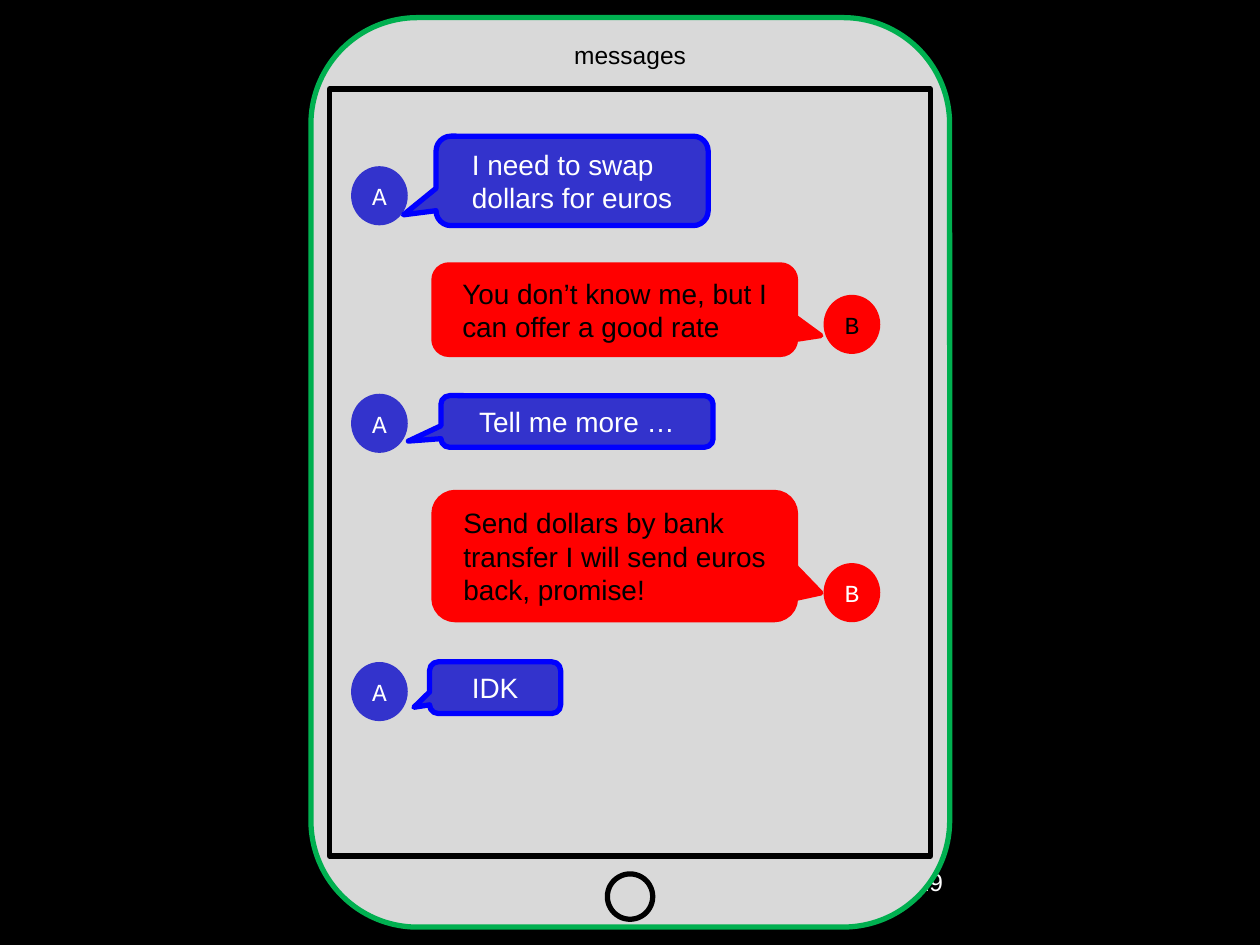
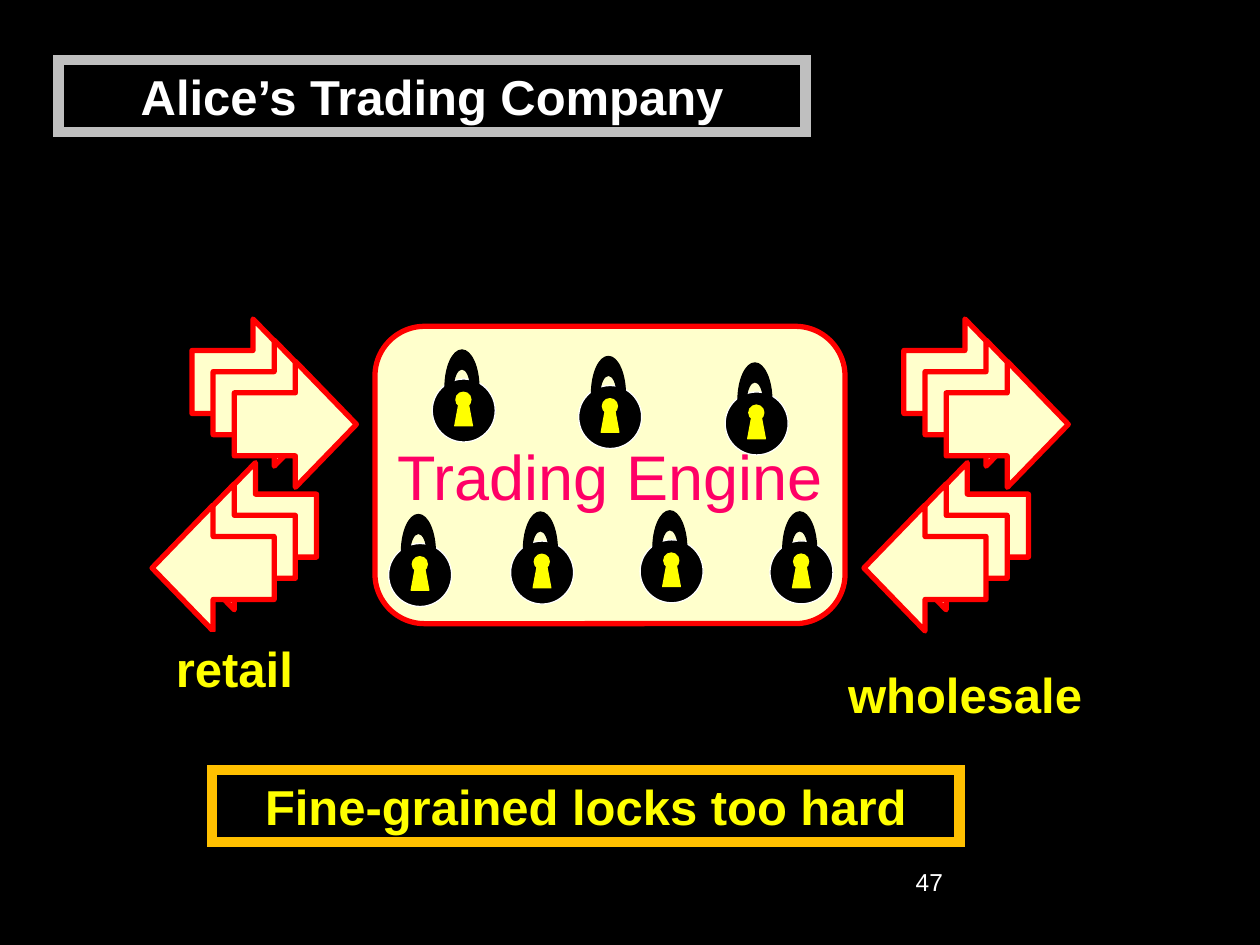
from dataclasses import dataclass

from lxml.etree import SubElement
from pptx import Presentation
from pptx.dml.color import RGBColor
from pptx.enum.shapes import MSO_SHAPE as Preset
from pptx.enum.text import MSO_ANCHOR as Anchor, MSO_AUTO_SIZE as AutoSize, PP_ALIGN as Align
from pptx.oxml.ns import qn
from pptx.util import Pt

BLACK = RGBColor(0x00, 0x00, 0x00)
WHITE = RGBColor(0xFF, 0xFF, 0xFF)
YELLOW = RGBColor(0xFF, 0xFF, 0x00)
RED = RGBColor(0xFF, 0x00, 0x00)
BLUE = RGBColor(0x00, 0x00, 0xFF)
INDIGO = RGBColor(0x33, 0x33, 0xCC)
GREEN = RGBColor(0x00, 0xB0, 0x50)
PALE_GREY = RGBColor(0xD9, 0xD9, 0xD9)
SILVER = RGBColor(0xBF, 0xBF, 0xBF)
GOLD = RGBColor(0xFF, 0xC0, 0x00)
CREAM = RGBColor(0xFF, 0xFF, 0xCC)
PINK = RGBColor(0xFF, 0x00, 0x66)

TITLE_ONLY = 5
ARC = 0.55  # control point distance for a quarter ellipse


@dataclass(frozen=True)
class Box:
    left: float
    top: float
    width: float
    height: float

    def lengths(self) -> tuple:
        return Pt(self.left), Pt(self.top), Pt(self.width), Pt(self.height)


@dataclass(frozen=True)
class TextStyle:
    size: float
    color: RGBColor
    font: str = "Arial"
    bold: bool = False
    align: Align = Align.CENTER
    anchor: Anchor = Anchor.MIDDLE
    wrap: bool = True


@dataclass(frozen=True)
class Sender:
    name: str
    fill: RGBColor
    line: RGBColor
    text_color: RGBColor
    badge_left: float
    tail: tuple


@dataclass(frozen=True)
class Message:
    sender: Sender
    badge_top: float
    bubble: Box
    text: str
    badge_color: RGBColor = WHITE


ALICE = Sender("A", INDIGO, BLUE, WHITE, 200.6, (-0.62, 0.38))
BOB = Sender("B", RED, RED, BLACK, 470.6, (0.57, 0.29))

MESSAGES = [
    Message(ALICE, 95, Box(249.2, 77.8, 155.5, 51.1), "I need to swap dollars for euros"),
    Message(BOB, 168.5, Box(248, 151.4, 206.6, 51.1),
            "You don’t know me, but I can offer a good rate", BLACK),
    Message(ALICE, 225, Box(252, 226.1, 155.5, 29.5), "Tell me more …"),
    Message(BOB, 321.8, Box(248, 281.4, 206.6, 72.7),
            "Send dollars by bank transfer I will send euros back, promise!"),
    Message(ALICE, 378.3, Box(245.5, 378.2, 74.9, 29.5), "IDK"),
]

BANNER = TextStyle(28, YELLOW, bold=True, anchor=Anchor.TOP)
TITLE = TextStyle(28, WHITE, bold=True, anchor=Anchor.TOP)


# Shared helpers
def write(shape, text: str, style: TextStyle) -> None:
    frame = shape.text_frame
    frame.auto_size = AutoSize.NONE
    frame.word_wrap = style.wrap
    frame.vertical_anchor = style.anchor
    frame.text = text
    paragraph = frame.paragraphs[0]
    paragraph.alignment = style.align
    font = paragraph.font
    font.name, font.size, font.bold = style.font, Pt(style.size), style.bold
    font.color.rgb = style.color


def paint(shape, fill=None, line=None, line_width: float = 3, mitered: bool = False) -> None:
    if fill is None:
        shape.fill.background()
    else:
        shape.fill.solid()
        shape.fill.fore_color.rgb = fill
    if line is None:
        shape.line.fill.background()
        return
    shape.line.color.rgb = line
    shape.line.width = Pt(line_width)
    if mitered:
        outline = shape.element.spPr.find(qn("a:ln"))
        SubElement(outline, qn("a:miter"), lim="800000")


def add_preset(shapes, preset, box: Box, fill=None, line=None, line_width: float = 3):
    shape = shapes.add_shape(preset, *box.lengths())
    shape.shadow.inherit = False
    paint(shape, fill, line, line_width)
    return shape


def add_outline(shapes, points: list, color: RGBColor):
    corners = [(Pt(x), Pt(y)) for x, y in points]
    builder = shapes.build_freeform(*corners[0])
    builder.add_line_segments(corners[1:], close=True)
    shape = builder.convert_to_shape()
    shape.shadow.inherit = False
    paint(shape, color, color, 0.75)
    return shape


def round_segments(shape) -> None:
    """Turn each slanted segment into a quarter ellipse, level at its upper end."""
    points = list(shape.element.iter(qn("a:pt")))
    ends = [(int(point.get("x")), int(point.get("y"))) for point in points]
    for (x1, y1), (x2, y2), point in zip(ends, ends[1:], points[1:]):
        if y1 == y2:
            continue
        if y2 < y1:
            controls = (x1, y1 + ARC * (y2 - y1)), (x2 - ARC * (x2 - x1), y2)
        else:
            controls = (x1 + ARC * (x2 - x1), y1), (x2, y2 - ARC * (y2 - y1))
        segment = point.getparent()
        curve = segment.makeelement(qn("a:cubicBezTo"))
        for x, y in (*controls, (x2, y2)):
            SubElement(curve, qn("a:pt"), x=str(round(x)), y=str(round(y)))
        segment.getparent().replace(segment, curve)


def place_title(slide, text: str, box: Box, style: TextStyle):
    title = slide.shapes.title
    title.left, title.top, title.width, title.height = box.lengths()
    write(title, text, style)
    return title


def add_page_number(slide, number: int) -> None:
    text_box = slide.shapes.add_textbox(*Box(516.2, 491.8, 149.8, 36).lengths())
    write(text_box, str(number), TextStyle(14, WHITE, align=Align.LEFT, anchor=Anchor.TOP))


# Chat on a phone
def add_message(shapes, message: Message) -> None:
    sender = message.sender
    badge = add_preset(shapes, Preset.OVAL,
                       Box(sender.badge_left, message.badge_top, 32.4, 33.8), sender.fill)
    write(badge, sender.name, TextStyle(14, message.badge_color, "Courier New", wrap=False))

    bubble = add_preset(shapes, Preset.ROUNDED_RECTANGULAR_CALLOUT, message.bubble,
                        sender.fill, sender.line)
    bubble.adjustments[0], bubble.adjustments[1] = sender.tail
    write(bubble, message.text, TextStyle(16, sender.text_color, align=Align.LEFT))
    # Centre the left-aligned text block in its bubble
    bubble.text_frame._txBody.bodyPr.set("anchorCtr", "1")


def build_chat_slide(presentation) -> None:
    slide = presentation.slides.add_slide(presentation.slide_layouts[TITLE_ONLY])
    shapes = slide.shapes
    add_page_number(slide, 29)
    add_preset(shapes, Preset.ROUNDED_RECTANGLE, Box(177.7, 10.1, 365, 519.7), PALE_GREY, GREEN)
    for message in MESSAGES:
        add_message(shapes, message)

    # The heading lies on top of the phone
    title = place_title(slide, "messages", Box(320.8, 19.4, 78.5, 24.5),
                        TextStyle(14, BLACK, anchor=Anchor.TOP, wrap=False))
    title.element.getparent().append(title.element)

    # Screen and home button
    add_preset(shapes, Preset.RECTANGLE, Box(188.3, 50.9, 343.4, 438.3), line=BLACK)
    add_preset(shapes, Preset.OVAL, Box(347.1, 499.4, 25.9, 25.9), line=BLACK)


# Trading engine with locks
def add_arrow_stack(shapes, preset, left: float, top: float, step: float) -> None:
    for index in range(3):
        box = Box(left + index * step, top + index * abs(step), 69.8, 72)
        add_preset(shapes, preset, box, CREAM, RED)


def add_padlock(slide, left: float, top: float) -> None:
    shapes = slide.shapes.add_group_shape().shapes
    add_preset(shapes, Preset.OVAL, Box(left, top, 36, 36), BLACK, WHITE, 0.75)
    add_preset(shapes, Preset.OVAL, Box(left + 13.5, top + 7.5, 8.6, 8.6), YELLOW, YELLOW, 0.75)
    slot = [(12.9, 26.7), (15.4, 13.3), (20.5, 13.3), (23, 26.7)]
    add_outline(shapes, [(left + x, top + y) for x, y in slot], YELLOW)
    # Inner arch, then outer arch back to the left foot
    arches = [(12.1, 5), (17, -5.8), (21.9, 5), (26.7, 5), (17, -16.6), (7.3, 5)]
    round_segments(add_outline(shapes, [(left + x, top + y) for x, y in arches], BLACK))


def build_engine_slide(presentation) -> None:
    slide = presentation.slides.add_slide(presentation.slide_layouts[TITLE_ONLY])
    shapes = slide.shapes
    add_page_number(slide, 47)
    title = place_title(slide, "Alice’s Trading Company", Box(33.4, 34.4, 427, 41), TITLE)
    paint(title, BLACK, SILVER, 6, mitered=True)

    engine = add_preset(shapes, Preset.ROUNDED_RECTANGLE, Box(214.3, 186.5, 268.6, 169.9),
                        CREAM, RED)
    write(engine, "Trading Engine", TextStyle(36, PINK, wrap=False))

    # Orders in and out on both sides
    for offset in (0, 406.8):
        add_arrow_stack(shapes, Preset.RIGHT_ARROW, 109.7 + offset, 182.3, 12.1)
        add_arrow_stack(shapes, Preset.LEFT_ARROW, 111.1 + offset, 264.4, -12.1)

    for label, box in (("retail", Box(70.6, 361.2, 126.7, 41)),
                       ("wholesale", Box(468, 376.1, 167, 41))):
        write(add_preset(shapes, Preset.RECTANGLE, box, BLACK), label, BANNER)

    # Three locks above the engine's name, four below
    upper = [(247 + 83.7 * i, 216.6 + 3.7 * i) for i in range(3)]
    lower = [(222.1, 310.6), (291.8, 309.2), (365.8, 308.5), (440, 309.1)]
    for left, top in upper + lower:
        add_padlock(slide, left, top)

    verdict = add_preset(shapes, Preset.RECTANGLE, Box(121.3, 440.1, 427, 41))
    paint(verdict, BLACK, GOLD, 6, mitered=True)
    write(verdict, "Fine-grained locks too hard", BANNER)


def main() -> None:
    presentation = Presentation()
    presentation.slide_width, presentation.slide_height = Pt(720), Pt(540)
    background = presentation.slide_master.background.fill
    background.solid()
    background.fore_color.rgb = BLACK
    build_chat_slide(presentation)
    build_engine_slide(presentation)
    presentation.save("out.pptx")


if __name__ == "__main__":
    main()
